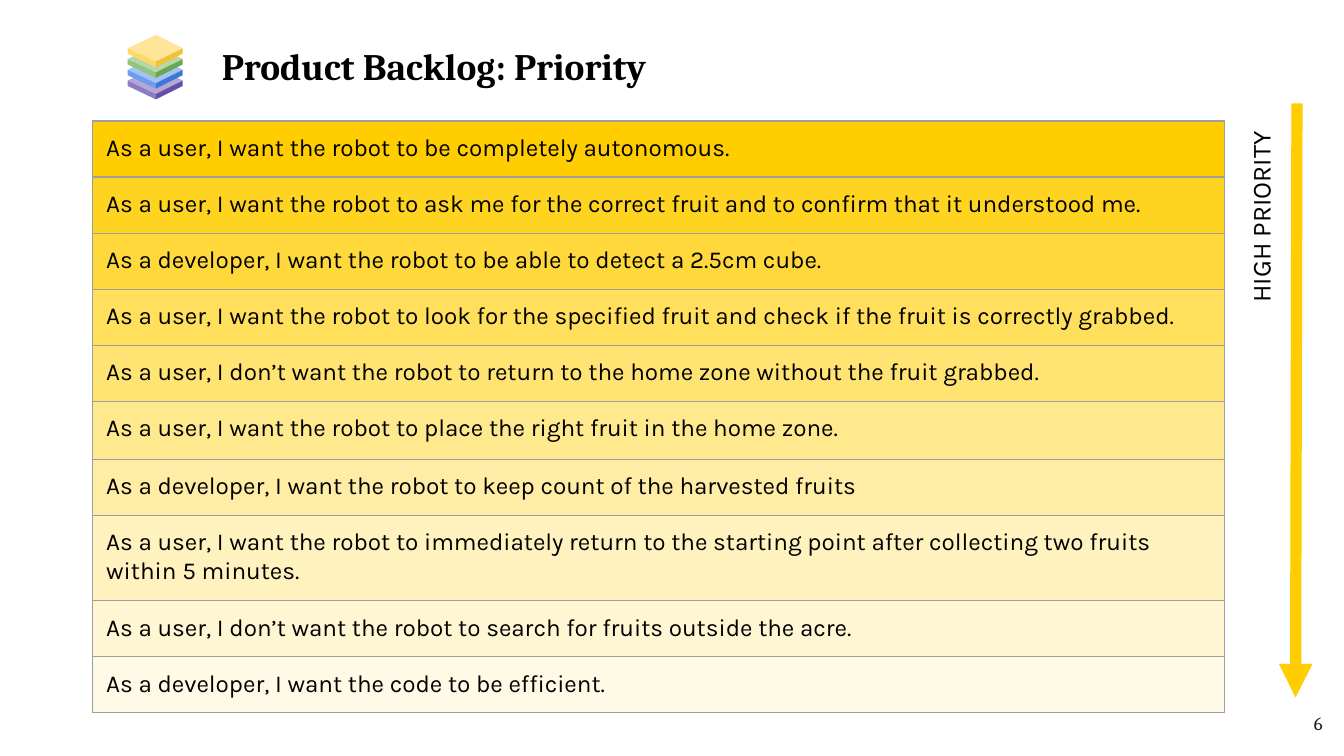
from lxml import etree
from pptx import Presentation
from pptx import util as u
from pptx.dml.color import RGBColor
from pptx.enum import shapes, text
from pptx.oxml.ns import qn

BLACK = RGBColor(0x00, 0x00, 0x00)
INK = RGBColor(0x1D, 0x1D, 0x1B)
GOLD = RGBColor(0xFF, 0xCD, 0x00)
BORDER = RGBColor(0x9E, 0x9E, 0x9E)

STORIES = [
    ("As a user, I want the robot to be completely autonomous.", GOLD),
    ("As a user, I want the robot to ask me for the correct fruit and to confirm that it understood me.",
     RGBColor(0xFF, 0xD4, 0x20)),
    ("As a developer, I want the robot to be able to detect a 2.5cm cube.",
     RGBColor(0xFF, 0xD9, 0x3B)),
    ("As a user, I want the robot to look for the specified fruit and check if the fruit is correctly grabbed.",
     RGBColor(0xFF, 0xDF, 0x5B)),
    ("As a user, I don’t want the robot to return to the home zone without the fruit grabbed.",
     RGBColor(0xFF, 0xE4, 0x73)),
    ("As a user, I want the robot to place the right fruit in the home zone.",
     RGBColor(0xFF, 0xE9, 0x8E)),
    ("As a developer, I want the robot to keep count of the harvested fruits",
     RGBColor(0xFF, 0xED, 0xA5)),
    ("As a user, I want the robot to immediately return to the starting point after collecting "
     "two fruits within 5 minutes.", RGBColor(0xFF, 0xF2, 0xBF)),
    ("As a user, I don’t want the robot to search for fruits outside the acre.",
     RGBColor(0xFF, 0xF7, 0xD4)),
    ("As a developer, I want the code to be efficient.", RGBColor(0xFF, 0xFA, 0xE6)),
]
ROW_HEIGHT = u.Inches(5) // 12
TALL_ROWS = {5: u.Inches(0.43)}

# Bottom layer first: top face, left side, right side
LAYERS = [
    (RGBColor(0xB4, 0xA7, 0xD6), RGBColor(0x8E, 0x7C, 0xC3), RGBColor(0x67, 0x4E, 0xA7)),
    (RGBColor(0xA4, 0xC2, 0xF4), RGBColor(0x6D, 0x9E, 0xEB), RGBColor(0x3C, 0x78, 0xD8)),
    (RGBColor(0xB6, 0xD7, 0xA8), RGBColor(0x93, 0xC4, 0x7D), RGBColor(0x6A, 0xA8, 0x4F)),
    (RGBColor(0xFF, 0xE5, 0x99), RGBColor(0xFF, 0xD9, 0x66), RGBColor(0xF1, 0xC2, 0x32)),
]


def style_paragraph(para, font, size, color, bold=False, align=text.PP_ALIGN.LEFT):
    para.font.name = font
    para.font.size = u.Pt(size)
    para.font.color.rgb = color
    para.font.bold = bold
    para.alignment = align


def set_margins(holder):
    """Give a cell or text frame the same inset on all sides."""
    holder.margin_left = holder.margin_right = u.Inches(0.1)
    holder.margin_top = holder.margin_bottom = u.Inches(0.1)


def place(shape, left, top, width, height):
    shape.left, shape.top = u.Inches(left), u.Inches(top)
    shape.width, shape.height = u.Inches(width), u.Inches(height)


def add_title(slide, wording):
    title = slide.shapes.title
    place(title, 1.55, 0.25, 4.24, 0.48)
    frame = title.text_frame
    frame.text = wording
    frame.auto_size = text.MSO_AUTO_SIZE.NONE
    frame.vertical_anchor = text.MSO_ANCHOR.MIDDLE
    set_margins(frame)
    style_paragraph(frame.paragraphs[0], "Cambria", 20, BLACK, bold=True)


def add_label(slide, wording, bounds, font, size, color, align=text.PP_ALIGN.LEFT, rotation=0):
    box = slide.shapes.add_textbox(*map(u.Inches, bounds))
    box.rotation = rotation
    frame = box.text_frame
    frame.word_wrap = True
    frame.text = wording
    set_margins(frame)
    style_paragraph(frame.paragraphs[0], font, size, color, align=align)


def add_borders(cell):
    properties = cell._tc.get_or_add_tcPr()
    for side in ("a:lnL", "a:lnR", "a:lnT", "a:lnB"):
        line = etree.SubElement(properties, qn(side), w=str(u.Pt(0.75)))
        fill = etree.SubElement(line, qn("a:solidFill"))
        etree.SubElement(fill, qn("a:srgbClr"), val=str(BORDER))


def add_backlog(slide):
    frame = slide.shapes.add_table(len(STORIES), 1, u.Inches(0.69), u.Inches(0.9),
                                   u.Inches(8.42), u.Inches(4.4))
    table = frame.table
    table.first_row = table.horz_banding = False
    for index, (story, color) in enumerate(STORIES):
        table.rows[index].height = TALL_ROWS.get(index, ROW_HEIGHT)
        cell = table.cell(index, 0)
        add_borders(cell)
        cell.fill.solid()
        cell.fill.fore_color.rgb = color
        set_margins(cell)
        cell.text = story
        para = cell.text_frame.paragraphs[0]
        style_paragraph(para, "Karla", 13, BLACK)
        para.space_before = u.Pt(6)


def add_polygon(group, points, color):
    points = [(u.Inches(x), u.Inches(y)) for x, y in points]
    builder = group.shapes.build_freeform(*points[0])
    builder.add_line_segments(points[1:], close=True)
    shape = builder.convert_to_shape()
    shape.shadow.inherit = False
    shape.fill.solid()
    shape.fill.fore_color.rgb = color
    shape.line.fill.background()


def add_layer_icon(slide):
    group = slide.shapes.add_group_shape()
    left, middle, right = 0.95, 1.16, 1.36
    half, depth, step = 0.1, 0.04, 0.08
    for index, (top_color, left_color, right_color) in enumerate(LAYERS):
        center = 0.6 - index * step
        front = center + half
        add_polygon(group, [(middle, center - half), (left, center),
                            (middle, front), (right, center)], top_color)
        for edge, color in ((left, left_color), (right, right_color)):
            add_polygon(group, [(edge, center), (edge, center + depth),
                                (middle, front + depth), (middle, front)], color)


def add_priority_arrow(slide):
    arrow = slide.shapes.add_connector(shapes.MSO_CONNECTOR.STRAIGHT, u.Inches(9.65),
                                       u.Inches(0.77), u.Inches(9.64), u.Inches(5.19))
    arrow.line.color.rgb = GOLD
    arrow.line.width = u.Pt(6)
    etree.SubElement(arrow.line._get_or_add_ln(), qn("a:tailEnd"), type="triangle")
    etree.SubElement(arrow._element.spPr, qn("a:effectLst"))


def main():
    deck = Presentation()
    deck.slide_width = u.Inches(10)
    deck.slide_height = deck.slide_width * 9 // 16
    slide = deck.slides.add_slide(deck.slide_layouts[5])
    add_title(slide, "Product Backlog: Priority")
    add_label(slide, "6", (9.34, 5.21, 0.6, 0.43), "Cambria", 10, INK,
              align=text.PP_ALIGN.RIGHT)
    add_backlog(slide)
    add_layer_icon(slide)
    add_priority_arrow(slide)
    add_label(slide, "HIGH PRIORITY", (8.59, 1.34, 1.58, 0.44), "Karla", 14, BLACK,
              rotation=270)
    deck.save("out.pptx")


if __name__ == "__main__":
    main()
